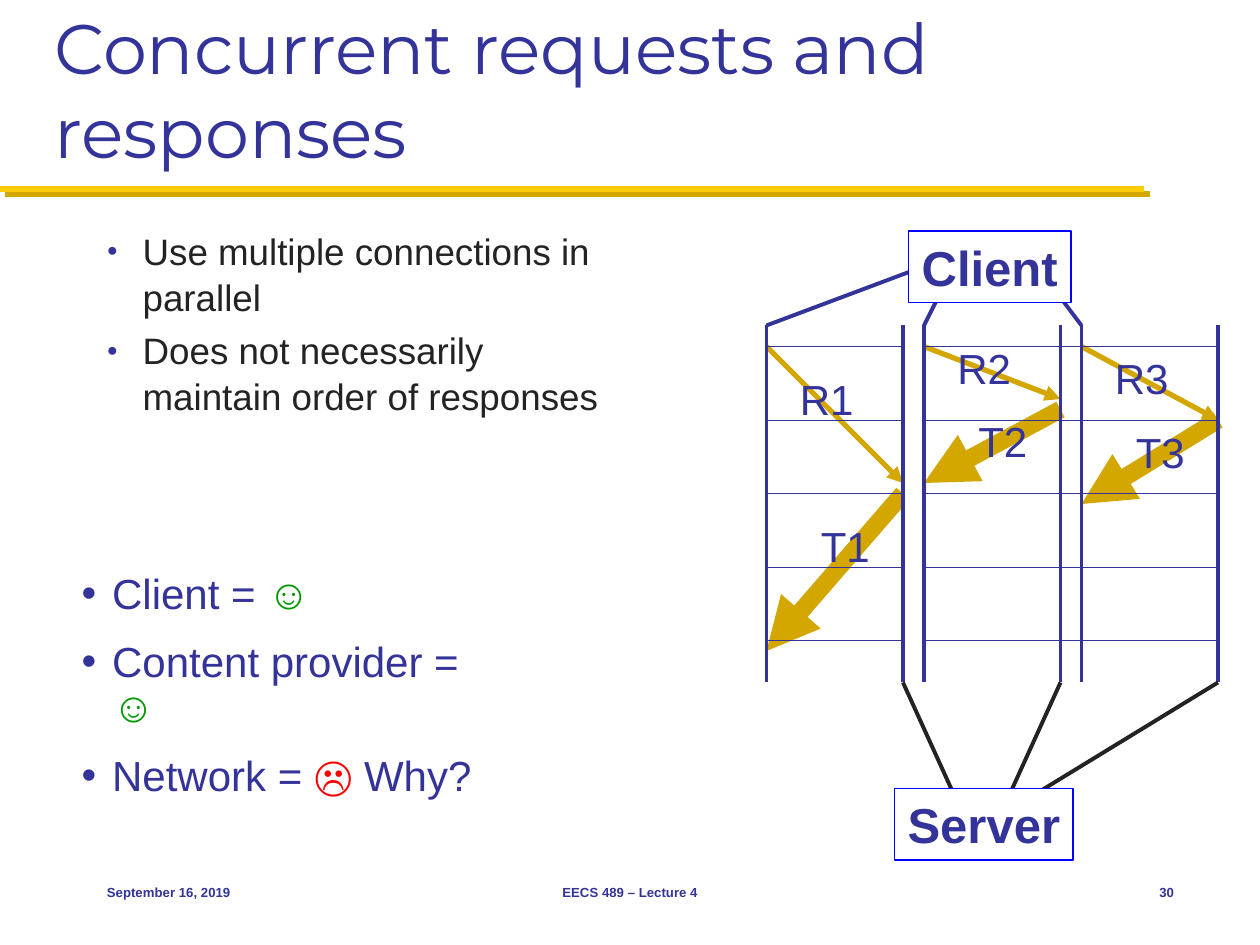
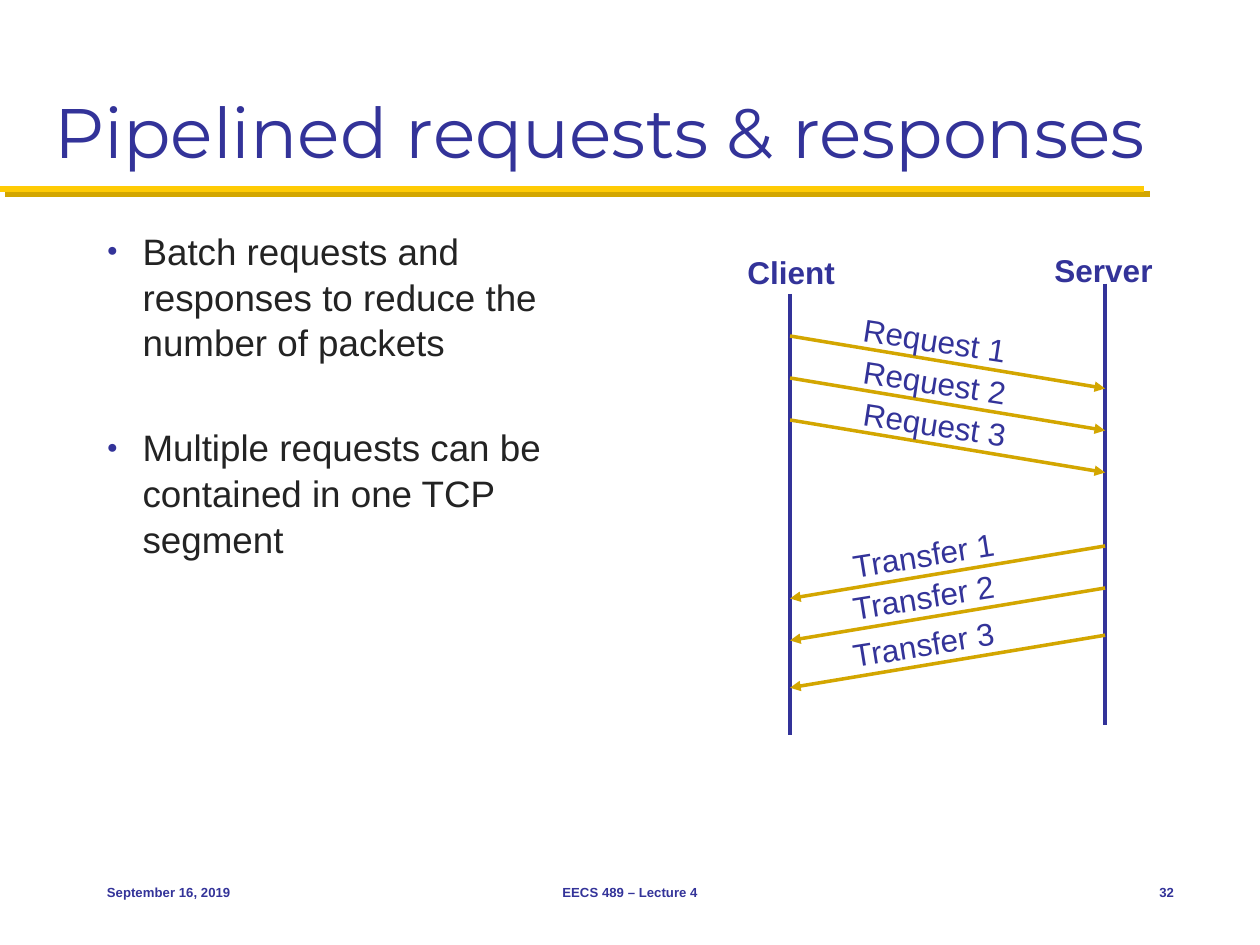
from dataclasses import dataclass
from typing import NamedTuple, Optional

from lxml import etree
from pptx import Presentation
from pptx.dml.color import RGBColor
from pptx.enum.dml import MSO_LINE
from pptx.enum.shapes import MSO_CONNECTOR, MSO_SHAPE
from pptx.enum.text import MSO_ANCHOR, PP_ALIGN
from pptx.oxml.ns import qn
from pptx.util import Emu, Inches, Pt

STRAIGHT = MSO_CONNECTOR.STRAIGHT
RECTANGLE = MSO_SHAPE.RECTANGLE
DOTTED = MSO_LINE.ROUND_DOT
TOP, MIDDLE, BOTTOM = MSO_ANCHOR.TOP, MSO_ANCHOR.MIDDLE, MSO_ANCHOR.BOTTOM
LEFT, CENTER, RIGHT = PP_ALIGN.LEFT, PP_ALIGN.CENTER, PP_ALIGN.RIGHT

# Every length below is in cells of a 120 by 90 grid
PAGE_WIDTH, PAGE_HEIGHT = Inches(10), Inches(7.5)
COLUMNS = 120
CELL = PAGE_WIDTH / COLUMNS


@dataclass(frozen=True)
class Theme:
    navy: str = "333399"
    ink: str = "232323"
    gold: str = "FFCB05"
    dark_gold: str = "D3A600"
    frame_blue: str = "0000FF"
    happy: str = "009900"
    sad: str = "FF0000"
    white: str = "FFFFFF"
    title_font: str = "Montserrat"
    text_font: str = "Arial"
    title_size: float = 40
    host_size: float = 28
    large_size: float = 24
    body_size: float = 21
    label_size: float = 18
    footer_size: float = 7.5


THEME = Theme()


class Point(NamedTuple):
    x: float
    y: float


class Area(NamedTuple):
    left: float
    top: float
    width: float
    height: float


class Span(NamedTuple):
    text: str
    color: str = THEME.navy


@dataclass(frozen=True)
class Style:
    size: float
    color: str = THEME.navy
    font: str = THEME.text_font
    bold: bool = False
    align: PP_ALIGN = LEFT
    anchor: MSO_ANCHOR = TOP
    wrap: bool = True


@dataclass(frozen=True)
class Bullet:
    mark: str
    indent: float
    share: int
    line_spacing: float


@dataclass(frozen=True)
class Lane:
    """One connection: rows of its arrows, and places of its two labels."""
    request_end: float
    transfer_start: float
    transfer_end: float
    request_label: Point
    transfer_label: Point


TITLE = Style(THEME.title_size, font=THEME.title_font, anchor=BOTTOM)
BODY = Style(THEME.body_size, THEME.ink)
MOOD = Style(THEME.large_size, anchor=MIDDLE)
LANE_LABEL = Style(THEME.large_size, wrap=False)
HOST_BOX = Style(THEME.host_size, bold=True, align=CENTER, wrap=False)
HOST_LABEL = Style(THEME.label_size, bold=True, wrap=False)
MESSAGE = Style(THEME.label_size, wrap=False)

BODY_BULLET = Bullet("●", 3.4, 50, 1.04)
MOOD_BULLET = Bullet("•", 2.9, 100, 0.9)


def cells(count: float) -> Emu:
    return Emu(round(count * CELL))


def rgb(color: str) -> RGBColor:
    return RGBColor.from_string(color)


# Text
def format_font(font, style: Style, color: str) -> None:
    font.name, font.size, font.bold = style.font, Pt(style.size), style.bold
    font.color.rgb = rgb(color)


def prepare_frame(box, style: Style) -> None:
    frame = box.text_frame
    frame.word_wrap, frame.vertical_anchor = style.wrap, style.anchor
    frame.margin_left = frame.margin_right = Inches(0.1)
    frame.margin_top = frame.margin_bottom = Inches(0.05)


def write(box, text: str, style: Style) -> None:
    prepare_frame(box, style)
    box.text_frame.text = text
    para = box.text_frame.paragraphs[0]
    para.alignment = style.align
    format_font(para.runs[0].font, style, style.color)


def add_text(page, area: Area, text: str, style: Style, turn: float = 0):
    box = page.shapes.add_textbox(*map(cells, area))
    box.rotation = turn
    write(box, text, style)


def add_bullet(para, bullet: Bullet) -> None:
    props = para._p.get_or_add_pPr()
    props.set("marL", str(cells(bullet.indent)))
    props.set("indent", str(-cells(bullet.indent)))
    color = etree.SubElement(props, qn("a:buClr"))
    etree.SubElement(color, qn("a:srgbClr"), val=THEME.navy)
    etree.SubElement(props, qn("a:buSzPct"), val=str(bullet.share * 1000))
    etree.SubElement(props, qn("a:buFont"), typeface=THEME.text_font)
    etree.SubElement(props, qn("a:buChar"), char=bullet.mark)


def add_bullets(page, area: Area, items: list[list[Span]], style: Style,
                bullet: Bullet, gap: float) -> None:
    box = page.shapes.add_textbox(*map(cells, area))
    prepare_frame(box, style)
    for index, spans in enumerate(items):
        frame = box.text_frame
        para = frame.add_paragraph() if index else frame.paragraphs[0]
        add_bullet(para, bullet)
        para.line_spacing = bullet.line_spacing
        if index:
            para.space_before = Pt(gap)
        for span in spans:
            run = para.add_run()
            run.text = span.text
            format_font(run.font, style, span.color)


# Lines and boxes
def add_line(page, start: Point, end: Point, color: str, width: float,
             arrow: bool = False, dash: Optional[MSO_LINE] = None):
    line = page.shapes.add_connector(STRAIGHT, *map(cells, (*start, *end)))
    line.line.color.rgb, line.line.width = rgb(color), Pt(width)
    if dash is not None:
        line.line.dash_style = dash
    if arrow:
        etree.SubElement(line.line._get_or_add_ln(), qn("a:tailEnd"),
                         type="triangle")
    return etree.SubElement(line._element.spPr, qn("a:effectLst"))


def add_panel(page, area: Area, outline: Optional[str] = None):
    panel = page.shapes.add_shape(RECTANGLE, *map(cells, area))
    panel.shadow.inherit = False
    panel.fill.solid()
    panel.fill.fore_color.rgb = rgb(THEME.white)
    if outline:
        panel.line.color.rgb, panel.line.width = rgb(outline), Pt(0.75)
    else:
        panel.line.fill.background()
    return panel


# Parts that every page shares
def add_page(deck, title: str, number: int):
    page = deck.slides.add_slide(deck.slide_layouts[6])
    effects = add_line(page, Point(0, 18), Point(109, 18), THEME.gold, 3.5)
    shadow = etree.SubElement(effects, qn("a:outerShdw"), dist=str(Pt(4.2)),
                              dir="2700000", algn="ctr", rotWithShape="0")
    etree.SubElement(shadow, qn("a:srgbClr"), val=THEME.dark_gold)
    add_text(page, Area(4, 2, 112, 15), title, TITLE)
    for left, width, text, align in (
            (9, 25, "September 16, 2019", LEFT),
            (41, 38, "EECS 489 – Lecture 4", CENTER),
            (105, 8, str(number), RIGHT)):
        add_text(page, Area(left, 82, width, 6), text,
                 Style(THEME.footer_size, bold=True, align=align, anchor=MIDDLE))
    return page


def add_body(page, texts: list[str], gap: float) -> None:
    add_bullets(page, Area(9, 21, 51, 58),
                [[Span(text, THEME.ink)] for text in texts],
                BODY, BODY_BULLET, gap)


# Concurrent connections
LANES = (
    Lane(46, 47, 62, Point(75, 35), Point(77, 49)),
    Lane(38, 39, 46, Point(90, 32), Point(92, 39)),
    Lane(40, 40, 48, Point(105, 33), Point(107, 40)),
)
LANE_LEFT, LANE_STEP, LANE_WIDTH = 73, 15, 13
LANE_TOP, LANE_BOTTOM = 31, 65
FIRST_TICK, TICK_STEP, TICKS = 33, 7, 5


def build_concurrent(deck) -> None:
    page = add_page(deck, "Concurrent requests and responses", 30)
    add_body(page, ["Use multiple connections in parallel",
                    "Does not necessarily maintain order of responses"], 4.6)
    add_bullets(page, Area(6.6, 55.8, 43, 19.2), [
        [Span("Client = "), Span("☺", THEME.happy)],
        [Span("Content provider = "), Span("☺", THEME.happy)],
        [Span("Network = "), Span("☹", THEME.sad), Span(" Why?")],
    ], MOOD, MOOD_BULLET, 13)

    clients = [LANE_LEFT + LANE_STEP * index for index in range(len(LANES))]
    servers = [client + LANE_WIDTH for client in clients]

    # Requests, then transfers
    for number, (lane, client, server) in enumerate(
            zip(LANES, clients, servers), 1):
        add_line(page, Point(client, FIRST_TICK), Point(server, lane.request_end),
                 THEME.dark_gold, 3, arrow=True)
        add_text(page, Area(*lane.request_label, 7.5, 6.1), f"R{number}", LANE_LABEL)
    for number, (lane, client, server) in enumerate(
            zip(LANES, clients, servers), 1):
        add_line(page, Point(server, lane.transfer_start),
                 Point(client, lane.transfer_end),
                 THEME.dark_gold, 10, arrow=True)
        add_text(page, Area(*lane.transfer_label, 7.2, 6.1), f"T{number}", LANE_LABEL)

    # Time grid and timelines, tied to the two hosts
    for client, joint in zip(clients, (Point(89, 25), Point(90, 27), Point(100, 27))):
        add_line(page, Point(client, LANE_TOP), joint, THEME.navy, 2.25)
    for tick in range(TICKS):
        row = FIRST_TICK + TICK_STEP * tick
        add_line(page, Point(clients[0], row), Point(servers[-1], row),
                 THEME.navy, 0.25, dash=DOTTED)
    for column in clients + servers:
        add_line(page, Point(column, LANE_TOP), Point(column, LANE_BOTTOM),
                 THEME.navy, 2.25)
    for server, joint_column in zip(servers, (91, 96, 98)):
        add_line(page, Point(server, LANE_BOTTOM), Point(joint_column, 76),
                 THEME.ink, 2.25)
    add_panel(page, Area(86.2, 32, 1.6, 33))

    for host, area in (("Client", Area(86.5, 22, 15.5, 6.8)),
                       ("Server", Area(85.2, 75.1, 17, 6.8))):
        write(add_panel(page, area, THEME.frame_blue), host, HOST_BOX)


# Pipelined messages
CLIENT_COLUMN, SERVER_COLUMN, MESSAGE_DROP = 75.25, 105.25, 5


def build_pipelined(deck) -> None:
    page = add_page(deck, "Pipelined requests & responses", 32)
    add_body(page, ["Batch requests and responses to reduce the number of packets",
                    "Multiple requests can be contained in one TCP segment"], 33.7)
    for column, top in ((CLIENT_COLUMN, 28), (SERVER_COLUMN, 27)):
        add_line(page, Point(column, top), Point(column, top + 42), THEME.navy, 2)
    add_text(page, Area(70, 23.5, 11, 4.9), "Client", HOST_LABEL)
    add_text(page, Area(99.25, 23.3, 12, 4.9), "Server", HOST_LABEL)

    for name, start, end, rows, label_left, label_rise, turn in (
            ("Request", CLIENT_COLUMN, SERVER_COLUMN, (32, 36, 40), 81, 2, 8.7),
            ("Transfer", SERVER_COLUMN, CLIENT_COLUMN, (52, 56, 60.5), 80, 1.6, 350.9)):
        for number, row in enumerate(rows, 1):
            add_line(page, Point(start, row), Point(end, row + MESSAGE_DROP),
                     THEME.dark_gold, 2, arrow=True)
            add_text(page, Area(label_left, row - label_rise, 16.4, 4.9),
                     f"{name} {number}", MESSAGE, turn)


def main() -> None:
    deck = Presentation()
    deck.slide_width, deck.slide_height = PAGE_WIDTH, PAGE_HEIGHT
    build_concurrent(deck)
    build_pipelined(deck)
    deck.save("out.pptx")


if __name__ == "__main__":
    main()
